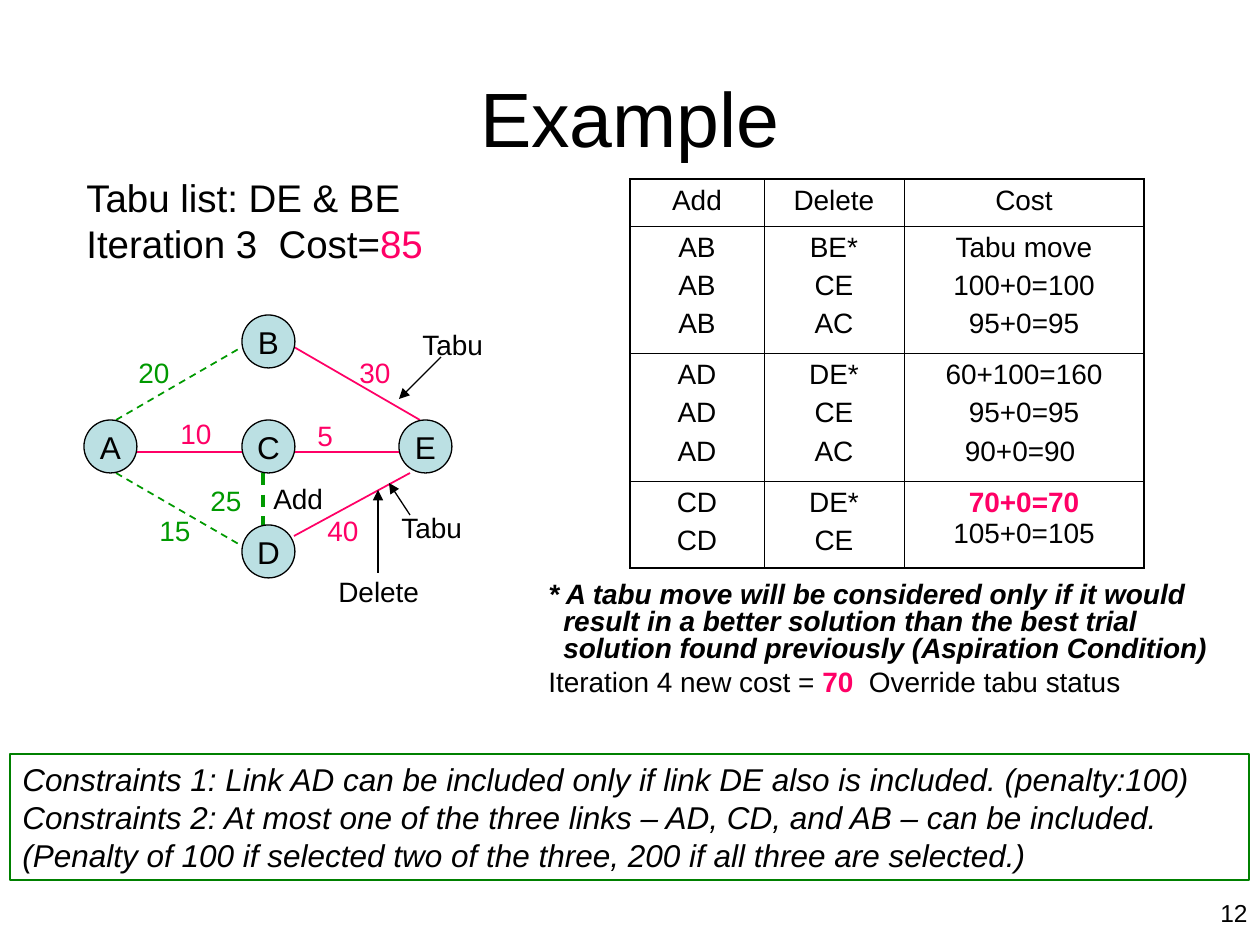
"""Build a slide showing one iteration of a tabu search on a small graph."""
import pptx
import pptx.dml.color
import pptx.enum.dml
import pptx.enum.shapes
import pptx.enum.text
import pptx.oxml.ns
import pptx.util
from lxml import etree

SCALE = 914400 / 126
BLACK, PINK, GREEN = "000000", "FF0066", "009900"
ALIGN = pptx.enum.text.PP_ALIGN
NODE_SIZE = 53
NODES = {"A": (84, 420), "B": (242, 315), "C": (242, 420), "D": (242, 525), "E": (399, 420)}
EDGES = [
    ((137, 452), (242, 452), PINK, 1),
    ((294, 452), (399, 452), PINK, 1),
    ((294, 536), (410, 473), PINK, 1),
    ((294, 347), (420, 420), PINK, 1),
    ((116, 473), (242, 546), GREEN, 1),
    ((116, 420), (242, 347), GREEN, 1),
    ((263, 473), (263, 525), GREEN, 1.75),
]
POINTERS = [((441, 357), (399, 399)), ((410, 515), (389, 483)), ((378, 573), (378, 490))]
LABELS = [
    ("20", 126, 349, 74, GREEN),
    ("30", 347, 349, 74, PINK),
    ("15", 147, 507, 74, GREEN),
    ("40", 315, 507, 74, PINK),
    ("10", 168, 410, 74, PINK),
    ("5", 305, 412, 74, PINK),
    ("25", 198, 477, 67, GREEN),
    ("Add", 261, 475, 78, BLACK),
    ("Tabu", 410, 321, 95, BLACK),
    ("Tabu", 389, 504, 126, BLACK),
    ("Delete", 326, 568, 126, BLACK),
]
MOVES = [
    [["Add"], ["Delete"], ["Cost"]],
    [["AB"] * 3, ["BE*", "CE", "AC"], ["Tabu move", "100+0=100", "95+0=95"]],
    [["AD"] * 3, ["DE*", "CE", "AC"], ["60+100=160", "95+0=95", "90+0=90 "]],
    [["CD"] * 2, ["DE*", "CE"], [[("70+0=70", PINK, True), (" 105+0=105", BLACK, False)]]],
]
COLUMN_WIDTHS = [134, 140, 240]
ROW_HEIGHTS = [47, 127, 128, 87]
CONSTRAINTS = [
    "Constraints 1: Link AD can be included only if link DE also is included. (penalty:100)",
    "Constraints 2: At most one of the three links – AD, CD, and AB – can be included.",
    "(Penalty of 100 if selected two of the three, 200 if all three are selected.)",
]
ASPIRATION = (
    "* A tabu move will be considered only if it would result in a better solution "
    "than the best trial solution found previously (Aspiration Condition)"
)


def px(length):
    """Turn pixels into EMU."""
    return pptx.util.Emu(round(length * SCALE))


def rgb(color):
    """Turn a hex string into a colour."""
    return pptx.dml.color.RGBColor.from_string(color)


def write(frame, lines, size, align=ALIGN.LEFT, color=BLACK, italic=False, before=0):
    """Fill a text frame; a line is a string or a list of (text, colour, bold[, italic])."""
    frame.word_wrap = True
    for index, line in enumerate(lines):
        para = frame.paragraphs[0] if index == 0 else frame.add_paragraph()
        para.alignment = align
        para.space_before = pptx.util.Pt(before)
        spans = [(line, color, False)] if isinstance(line, str) else line
        for text, span_color, bold, *slant in spans:
            span = para.add_run()
            span.text = text
            span.font.name = "Arial"
            span.font.size = pptx.util.Pt(size)
            span.font.color.rgb = rgb(span_color)
            span.font.bold = bold
            span.font.italic = slant[0] if slant else italic


def add_text(page, x, y, width, height, lines, size, **style):
    """Add a text box and return its frame."""
    frame = page.shapes.add_textbox(px(x), px(y), px(width), px(height)).text_frame
    write(frame, lines, size, **style)
    return frame


def add_line(page, start, end, color, weight, dashed=False, arrow=False):
    """Add a straight line, dashed or with an arrowhead if asked."""
    kind = pptx.enum.shapes.MSO_CONNECTOR.STRAIGHT
    link = page.shapes.add_connector(kind, *map(px, start + end))
    link.line.color.rgb = rgb(color)
    link.line.width = pptx.util.Pt(weight)
    if dashed:
        link.line.dash_style = pptx.enum.dml.MSO_LINE.DASH
    if arrow:
        outline = link.line._get_or_add_ln()
        etree.SubElement(outline, pptx.oxml.ns.qn("a:tailEnd"), type="triangle")
    etree.SubElement(link._element.spPr, pptx.oxml.ns.qn("a:effectLst"))


def add_shape(page, kind, x, y, width, height, line, weight, fill=None):
    """Add a preset shape and return its text frame."""
    shape = page.shapes.add_shape(kind, px(x), px(y), px(width), px(height))
    shape.shadow.inherit = False
    shape.line.color.rgb = rgb(line)
    shape.line.width = pptx.util.Pt(weight)
    if fill:
        shape.fill.solid()
        shape.fill.fore_color.rgb = rgb(fill)
    else:
        shape.fill.background()
    return shape.text_frame


def add_node(page, name, x, y):
    """Add a named circle of the graph."""
    oval = pptx.enum.shapes.MSO_SHAPE.OVAL
    frame = add_shape(page, oval, x, y, NODE_SIZE, NODE_SIZE, BLACK, 0.75, "BBE0E3")
    frame.margin_left = frame.margin_right = frame.margin_top = frame.margin_bottom = 0
    frame.vertical_anchor = pptx.enum.text.MSO_ANCHOR.MIDDLE
    write(frame, [name], 18, align=ALIGN.CENTER)


def set_borders(cell, weights):
    """Draw the four black borders of a cell, given by side in points."""
    properties = cell._tc.get_or_add_tcPr()
    for side, weight in weights.items():
        width = str(pptx.util.Pt(weight))
        border = etree.SubElement(properties, pptx.oxml.ns.qn("a:ln" + side), w=width)
        fill = etree.SubElement(border, pptx.oxml.ns.qn("a:solidFill"))
        etree.SubElement(fill, pptx.oxml.ns.qn("a:srgbClr"), val=BLACK)


def add_moves_table(page, x, y):
    """Add the table of candidate moves with a heavier outer border."""
    rows, columns = len(ROW_HEIGHTS), len(COLUMN_WIDTHS)
    size = px(sum(COLUMN_WIDTHS)), px(sum(ROW_HEIGHTS))
    table = page.shapes.add_table(rows, columns, px(x), px(y), *size).table
    for column, width in zip(table.columns, COLUMN_WIDTHS):
        column.width = px(width)
    for r, height in enumerate(ROW_HEIGHTS):
        table.rows[r].height = px(height)
        for c in range(columns):
            cell = table.cell(r, c)
            outer = {"L": c == 0, "R": c == columns - 1, "T": r == 0, "B": r == rows - 1}
            set_borders(cell, {side: 1.08 if edge else 0.45 for side, edge in outer.items()})
            cell.fill.background()
            write(cell.text_frame, MOVES[r][c], 16, align=ALIGN.CENTER, before=4)


def add_notes(page):
    """Add the aspiration rule and the new cost with hanging indents."""
    result = [("Iteration 4 new cost = ", BLACK, False), ("70", PINK, True),
              ("  Override tabu status", BLACK, False)]
    lines = [[(ASPIRATION, BLACK, True, True)], result]
    frame = add_text(page, 536, 577, 724, 158, lines, 16, before=4)
    for para in frame.paragraphs:
        para.line_spacing = 0.8
        properties = para._p.get_or_add_pPr()
        properties.set("marL", str(px(15)))
        properties.set("indent", str(-px(15)))


def main():
    """Build and save the deck."""
    deck = pptx.Presentation()
    deck.slide_width, deck.slide_height = px(1260), px(945)
    page = deck.slides.add_slide(deck.slide_layouts[6])
    title = add_text(page, 63, 38, 1134, 158, ["Example"], 44, align=ALIGN.CENTER)
    title.vertical_anchor = pptx.enum.text.MSO_ANCHOR.MIDDLE
    cost = [("Iteration 3  Cost=", BLACK, False), ("85", PINK, False)]
    add_text(page, 74, 168, 420, 106, ["Tabu list: DE & BE", cost], 22)
    for start, end, color, weight in EDGES:
        add_line(page, start, end, color, weight, dashed=color == GREEN)
    for name, (x, y) in NODES.items():
        add_node(page, name, x, y)
    for text, x, y, width, color in LABELS:
        add_text(page, x, y, width, 47, [text], 16, color=color)
    for start, end in POINTERS:
        add_line(page, start, end, BLACK, 0.75, arrow=True)
    add_moves_table(page, 630, 179)
    add_notes(page)
    rectangle = pptx.enum.shapes.MSO_SHAPE.RECTANGLE
    frame = add_shape(page, rectangle, 10, 754, 1239, 126, "008000", 1)
    write(frame, CONSTRAINTS, 18, italic=True)
    add_text(page, 1113, 892, 147, 34, ["12"], 14, align=ALIGN.RIGHT)
    deck.save("out.pptx")


if __name__ == "__main__":
    main()
